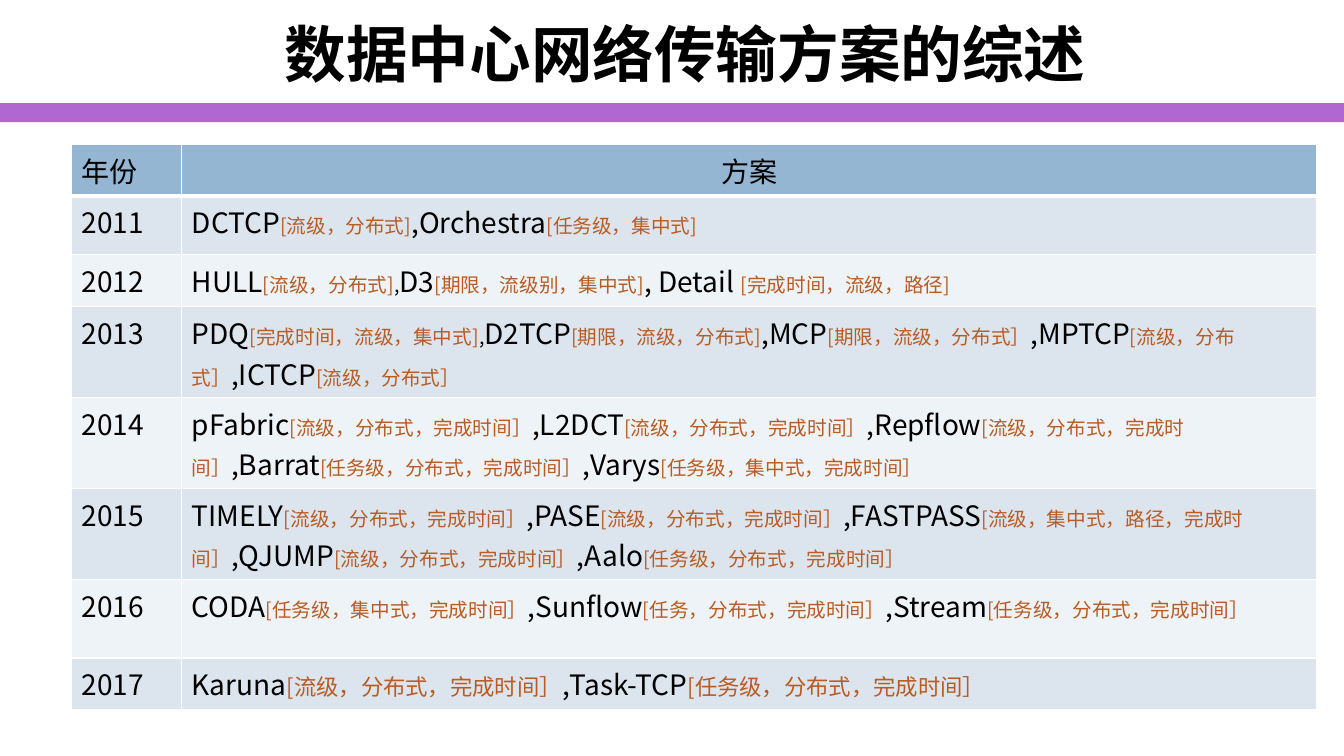
from lxml import etree
from pptx import Presentation
from pptx.dml.color import RGBColor
from pptx.enum.shapes import MSO_SHAPE
from pptx.enum.text import MSO_ANCHOR, PP_ALIGN
from pptx.oxml.ns import qn
from pptx.util import Cm, Pt

RECT = MSO_SHAPE.RECTANGLE
MIDDLE = MSO_ANCHOR.MIDDLE
CENTER = PP_ALIGN.CENTER
LEFT = PP_ALIGN.LEFT

BLACK = RGBColor(0x00, 0x00, 0x00)
RUST = RGBColor(0xB9, 0x5B, 0x22)
PURPLE = RGBColor(0xB1, 0x67, 0xD2)
HEAD = RGBColor(0x94, 0xB6, 0xD2)
BANDS = (RGBColor(0xEE, 0xF3, 0xF7), RGBColor(0xDC, 0xE5, 0xEE))
FONT = "Noto Sans CJK SC"

TITLE = "数据中心网络传输方案的综述"
HEADER = ("年份", "方案")
YEARS = [
    ("2011", 1.47, 14, ["DCTCP", "[流级，分布式]", ",Orchestra", "[任务级，集中式]"]),
    ("2012", 1.32, 14, ["HULL", "[流级，分布式]", ",", "D3", "[期限，流级别，集中式]",
                        ", Detail ", "[完成时间，流级，路径]"]),
    ("2013", 2.29, 14, ["PDQ", "[完成时间，流级，集中式]", ",", "D2TCP", "[期限，流级，分布式]",
                        ",MCP", "[期限，流级，分布式］", ",MPTCP", "[流级，分布式］",
                        ",ICTCP", "[流级，分布式］"]),
    ("2014", 2.29, 14, ["pFabric", "[流级，分布式，完成时间］", ",L2DCT", "[流级，分布式，完成时间］",
                        ",Repflow", "[流级，分布式，完成时间］", ",Barrat", "[任务级，分布式，完成时间］",
                        ",Varys", "[任务级，集中式，完成时间］"]),
    ("2015", 2.29, 14, ["TIMELY", "[流级，分布式，完成时间］", ",PASE", "[流级，分布式，完成时间］",
                        ",FASTPASS", "[流级，集中式，路径，完成时间］", ",QJUMP", "[流级，分布式，完成时间］",
                        ",Aalo", "[任务级，分布式，完成时间］"]),
    ("2016", 1.98, 14, ["CODA", "[任务级，集中式，完成时间］", ",Sunflow", "[任务，分布式，完成时间］",
                        ",Stream", "[任务级，分布式，完成时间］"]),
    ("2017", 1.3, 16, ["Karuna", "[流级，分布式，完成时间］", ",Task-TCP", "[任务级，分布式，完成时间］"]),
]
WIDTHS = (2.77, 28.6)
HEIGHTS = [1.3] + [year[1] for year in YEARS]


def add_run(para, text, size, color=BLACK, bold=False):
    run = para.add_run()
    run.text = text
    font = run.font
    font.name = FONT
    font.size = Pt(size)
    font.bold = bold
    font.color.rgb = color
    east = etree.SubElement(font._element, qn("a:ea"))
    east.set("typeface", FONT)


def add_edge(cell, side, width):
    props = cell._tc.get_or_add_tcPr()
    line = etree.SubElement(props, qn("a:ln" + side), w=str(Pt(width)))
    fill = etree.SubElement(line, qn("a:solidFill"))
    etree.SubElement(fill, qn("a:srgbClr"), val="FFFFFF")


def fill_cell(cell, runs, note, color, top, base, align=LEFT):
    for side, width in zip("LRTB", (1, 1, top, base)):
        add_edge(cell, side, width)
    cell.fill.solid()
    cell.fill.fore_color.rgb = color
    para = cell.text_frame.paragraphs[0]
    para.alignment = align
    for text in runs:
        tag = text.startswith("[")
        size = note if tag or text == "," else 20
        add_run(para, text, size, RUST if tag else BLACK)


def main():
    deck = Presentation()
    deck.slide_width, deck.slide_height = Cm(33.87), Cm(19.05)
    slide = deck.slides.add_slide(deck.slide_layouts[6])

    bar = slide.shapes.add_shape(RECT, 0, Cm(2.6), deck.slide_width, Cm(0.48))
    bar.shadow.inherit = False
    bar.fill.solid()
    bar.fill.fore_color.rgb = PURPLE
    bar.line.fill.background()

    box = slide.shapes.add_textbox(Cm(1.26), Cm(0.36), Cm(32.03), Cm(1.96))
    frame = box.text_frame
    frame.word_wrap = True
    frame.vertical_anchor = MIDDLE
    para = frame.paragraphs[0]
    para.alignment = CENTER
    add_run(para, TITLE, 44, bold=True)

    table = slide.shapes.add_table(
        len(HEIGHTS), len(WIDTHS), Cm(1.81), Cm(3.64),
        Cm(sum(WIDTHS)), Cm(sum(HEIGHTS))).table
    for col, width in zip(table.columns, WIDTHS):
        col.width = Cm(width)
    for row, height in zip(table.rows, HEIGHTS):
        row.height = Cm(height)

    for col, (text, align) in enumerate(zip(HEADER, (LEFT, CENTER))):
        fill_cell(table.cell(0, col), [text], 20, HEAD, 1, 3, align)
    for row, (year, _, note, runs) in enumerate(YEARS, 1):
        top = 3 if row == 1 else 1
        for col, part in enumerate(([year], runs)):
            fill_cell(table.cell(row, col), part, note, BANDS[row % 2], top, 1)

    deck.save("out.pptx")


if __name__ == "__main__":
    main()
